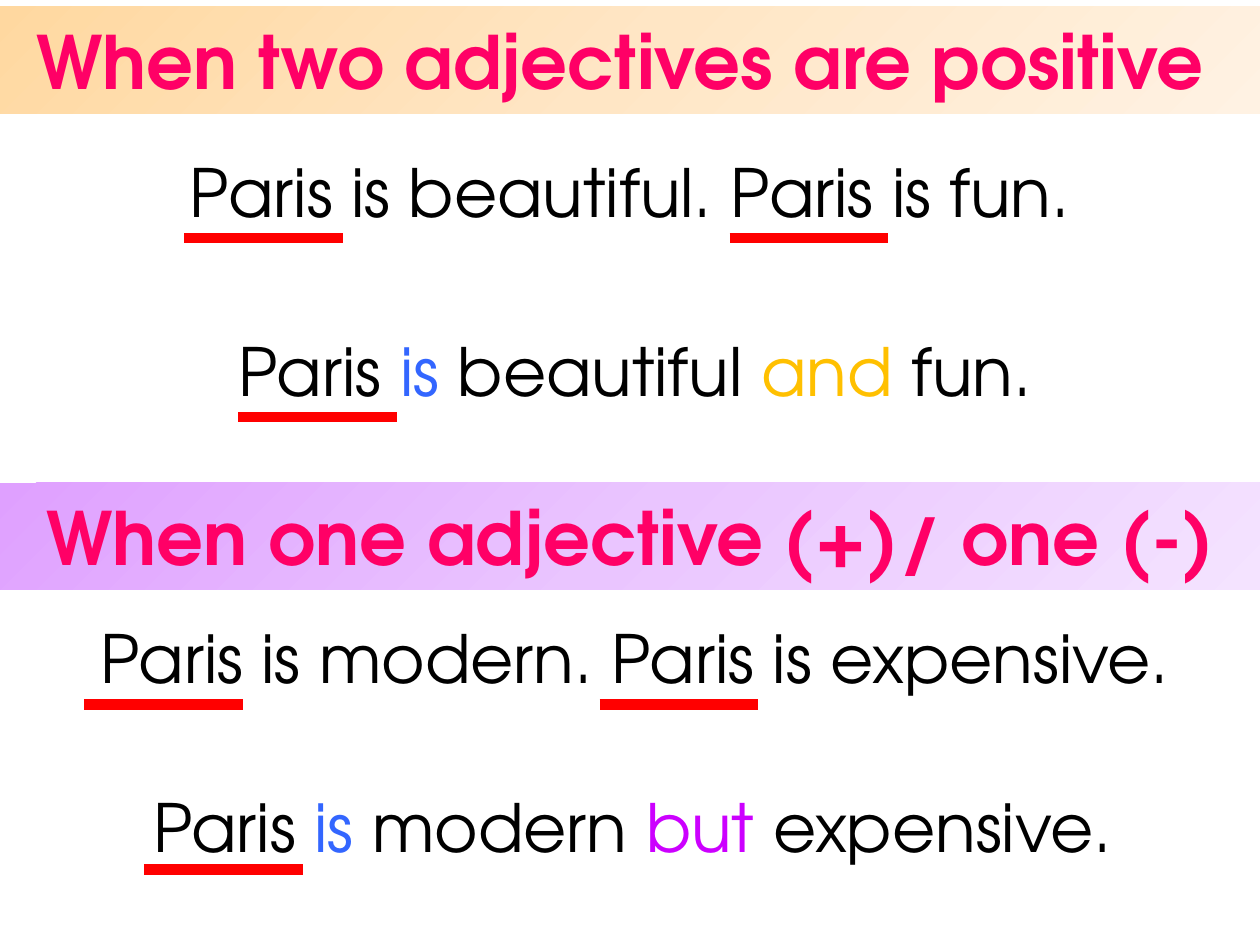
import copy
import dataclasses

import pptx
import pptx.dml.color
import pptx.enum.shapes
import pptx.enum.text
import pptx.oxml
import pptx.oxml.ns
import pptx.util

Cm = pptx.util.Cm
Pt = pptx.util.Pt
RGB = pptx.dml.color.RGBColor.from_string


@dataclasses.dataclass(frozen=True)
class Theme:
    """Colours, font and sizes of the lesson."""
    font: str = "TeX Gyre Adventor"
    heading_size: int = 42
    sentence_size: int = 38
    underline_width: int = 6
    outline_width: float = 2.25
    heading: str = "FF0066"
    text: str = "000000"
    verb: str = "3366FF"
    joining: str = "FFC000"
    contrast: str = "CC00FF"
    underline: str = "FF0000"
    positive_band: tuple = ("FFD8A0", "FFE6C5", "FFF2E3")
    mixed_band: tuple = ("DFA0FF", "EAC5FF", "F4E3FF")


class LessonSlide:
    """Holds the theme and the current slide, and draws each kind of element."""

    def __init__(self, slide, theme):
        self.slide = slide
        self.theme = theme

    def fill_line(self, target, pieces, size, bold, frame_format):
        """Put coloured pieces of one centred line into a shape."""
        frame = target.text_frame
        for name, value in frame_format.items():
            setattr(frame, name, value)
        line = frame.paragraphs[0]
        line.alignment = pptx.enum.text.PP_ALIGN.CENTER
        font_format = {"name": self.theme.font, "size": Pt(size), "bold": bold}
        for words, colour in pieces:
            run = line.add_run()
            run.text = words
            for name, value in font_format.items():
                setattr(run.font, name, value)
            run.font.color.rgb = RGB(colour)
            outline = pptx.oxml.parse_xml(
                f'<a:ln {pptx.oxml.ns.nsdecls("a")} w="{Pt(self.theme.outline_width)}">'
                f'<a:solidFill><a:srgbClr val="{colour}"/></a:solidFill></a:ln>')
            run.font._element.insert(0, outline)

    def band(self, band, top, words, colours):
        """Place a full-width gradient band with its heading."""
        place = {"left": Cm(0), "top": Cm(top), "width": Cm(25.4), "height": Cm(2.16)}
        for name, value in place.items():
            setattr(band, name, value)
        band.fill.gradient()
        band.fill.gradient_angle = 315
        stops = band._element.spPr.xpath(".//a:gsLst")[0]
        stops.insert(1, copy.deepcopy(stops[0]))
        for index, (stop, colour) in enumerate(zip(band.fill.gradient_stops, colours)):
            stop.position = index / 2
            stop.color.rgb = RGB(colour)
        band.line.fill.background()
        self.fill_line(band, [(words, self.theme.heading)], self.theme.heading_size, True, {
            "word_wrap": True,
            "auto_size": pptx.enum.text.MSO_AUTO_SIZE.NONE,
            "vertical_anchor": pptx.enum.text.MSO_ANCHOR.MIDDLE,
        })

    def title(self, top, words, colours):
        """Turn the title placeholder into a heading band."""
        self.band(self.slide.shapes.title, top, words, colours)

    def heading(self, top, words, colours):
        """Add a further heading band."""
        band = self.slide.shapes.add_shape(
            pptx.enum.shapes.MSO_SHAPE.RECTANGLE, Cm(0), Cm(top), Cm(25.4), Cm(2.16))
        band.shadow.inherit = False
        self.band(band, top, words, colours)

    def sentence(self, left, top, width, pieces):
        """Add a centred example sentence."""
        sentence = self.slide.shapes.add_textbox(Cm(left), Cm(top), Cm(width), Cm(1.88))
        self.fill_line(sentence, pieces, self.theme.sentence_size, False, {
            "word_wrap": True,
            "auto_size": pptx.enum.text.MSO_AUTO_SIZE.SHAPE_TO_FIT_TEXT,
        })

    def underline(self, left, top):
        """Underline one subject."""
        underline = self.slide.shapes.add_connector(
            pptx.enum.shapes.MSO_CONNECTOR.STRAIGHT,
            Cm(left), Cm(top), Cm(left + 3.2), Cm(top))
        underline.line.color.rgb = RGB(self.theme.underline)
        underline.line.width = Pt(self.theme.underline_width)
        underline._element.spPr.append(
            pptx.oxml.parse_xml(f'<a:effectLst {pptx.oxml.ns.nsdecls("a")}/>'))


def main():
    """Build the lesson on joining adjectives."""
    theme = Theme()
    deck = pptx.Presentation()
    deck.slide_width, deck.slide_height = Cm(25.4), Cm(19.05)
    lesson = LessonSlide(deck.slides.add_slide(deck.slide_layouts[5]), theme)

    lesson.title(0.13, "When two adjectives are positive ", theme.positive_band)
    lesson.heading(9.73, "When one adjective (+)/ one (-)", theme.mixed_band)

    def joined(first, link, link_colour, second):
        """Give the coloured pieces of a joined sentence."""
        return [("Paris ", theme.text), ("is", theme.verb), (f" {first} ", theme.text),
                (link, link_colour), (f" {second}.", theme.text)]

    sentences = [
        (1.3, 2.92, 22.81, [("Paris is beautiful. Paris is fun.", theme.text)]),
        (1.5, 6.53, 22.61, joined("beautiful", "and", theme.joining, "fun")),
        (1.4, 12.32, 22.81, [("Paris is modern. Paris is expensive.", theme.text)]),
        (1.3, 15.72, 22.91, joined("modern", "but", theme.contrast, "expensive")),
    ]
    for left, top, width, pieces in sentences:
        lesson.sentence(left, top, width, pieces)

    underlines = {4.8: (3.71, 14.71), 8.41: (4.8,), 14.2: (1.7, 12.09), 17.53: (2.9,)}
    for top, subjects in underlines.items():
        for left in subjects:
            lesson.underline(left, top)

    deck.save("out.pptx")


if __name__ == "__main__":
    main()
